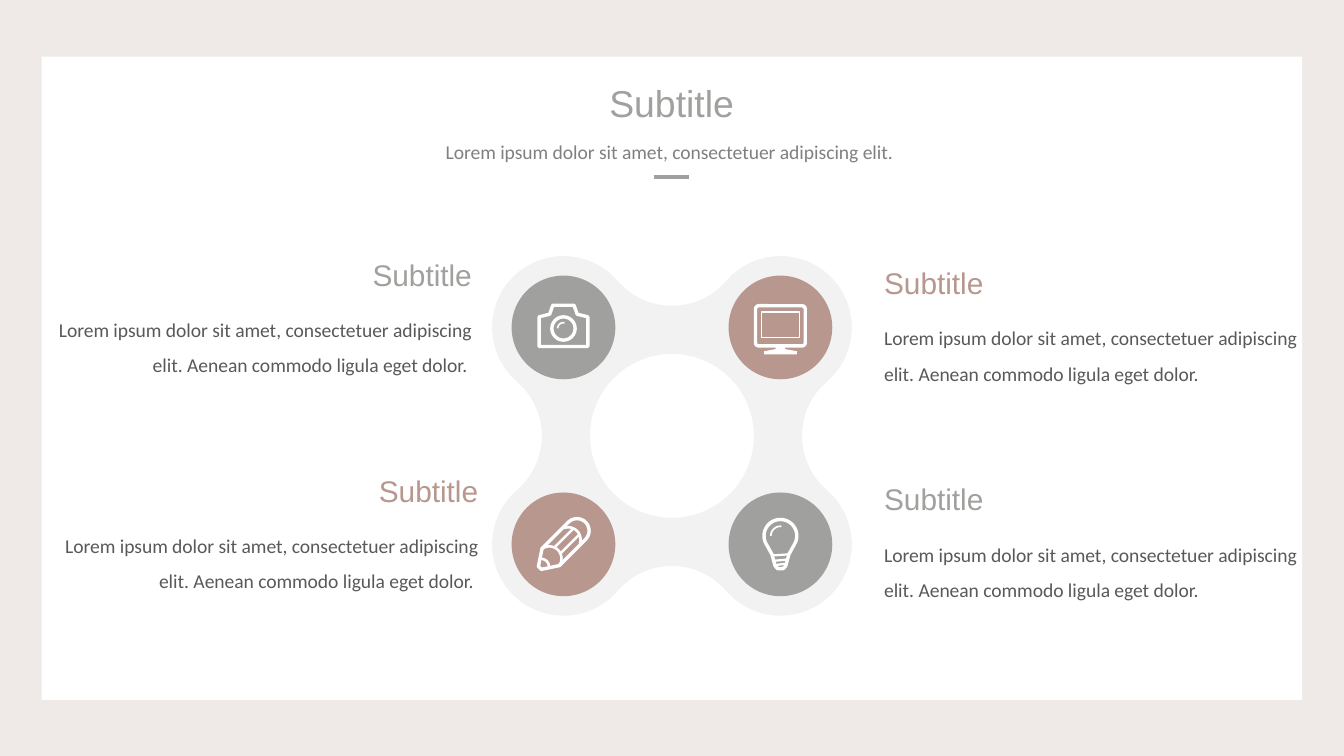
from math import atan2, cos, degrees, hypot, radians, sin, sqrt

from lxml import etree
from pptx import Presentation
from pptx import util as u
from pptx.dml.color import RGBColor
from pptx.enum import shapes, text
from pptx.oxml import ns

CREAM = RGBColor(0xEF, 0xEA, 0xE7)
WHITE = RGBColor(0xFF, 0xFF, 0xFF)
PALE = RGBColor(0xF2, 0xF2, 0xF2)
GREY = RGBColor(0xA0, 0xA0, 0x9E)
ROSE = RGBColor(0xB7, 0x97, 0x8E)
MID = RGBColor(0x80, 0x80, 0x80)
DARK = RGBColor(0x59, 0x59, 0x59)

LEFT, CENTER, RIGHT = text.PP_ALIGN.LEFT, text.PP_ALIGN.CENTER, text.PP_ALIGN.RIGHT
KIND = shapes.MSO_SHAPE
THICK, THIN = 1.8, 0.9
LOREM = "Lorem ipsum dolor sit amet, consectetuer adipiscing elit."
BODY = LOREM + " Aenean commodo ligula eget dolor."


def paint(shape, fill=None, line=None, width=THICK):
    shape.shadow.inherit = False
    if fill is None:
        shape.fill.background()
    else:
        shape.fill.solid()
        shape.fill.fore_color.rgb = fill
    if line is None:
        shape.line.fill.background()
    else:
        shape.line.color.rgb = line
        shape.line.width = u.Pt(width)


def block(slide, kind, x, y, w, h, **style):
    shape = slide.shapes.add_shape(kind, u.Cm(x), u.Cm(y), u.Cm(w), u.Cm(h))
    paint(shape, **style)
    return shape


def ring(slide, x, y, r, **style):
    block(slide, KIND.OVAL, x - r, y - r, 2 * r, 2 * r, **style)


def arc(x, y, r, start, end, steps=24):
    """Points on a circle; angles in degrees, clockwise from the right."""
    turns = [radians(start + (end - start) * i / steps) for i in range(steps + 1)]
    return [(x + r * cos(t), y + r * sin(t)) for t in turns]


def trace(slide, x, y, *loops, close=True, **style):
    """Draw loops of points, in cm from (x, y), as one shape."""
    loops = [[(u.Cm(x + a), u.Cm(y + b)) for a, b in loop] for loop in loops]
    pen = slide.shapes.build_freeform(*loops[0][0])
    for i, loop in enumerate(loops):
        if i:
            pen.move_to(*loop[0])
        pen.add_line_segments(loop[1:], close=close)
    paint(pen.convert_to_shape(), **style)


def write(slide, words, x, y, w, h, size, font, color, align, wrap=True):
    frame = slide.shapes.add_textbox(u.Cm(x), u.Cm(y), u.Cm(w), u.Cm(h)).text_frame
    frame.word_wrap = wrap
    frame.auto_size = text.MSO_AUTO_SIZE.SHAPE_TO_FIT_TEXT
    para = frame.paragraphs[0]
    para.text = words
    para.alignment = align
    if wrap:
        para.line_spacing = 1.5
    para.font.size = u.Pt(size)
    para.font.name = font
    para.font.color.rgb = color


def header(slide, x, y, w):
    mid = x + w / 2
    write(slide, "Subtitle", mid - 1.43, y, 2.86, 1.12, 20, "Arial", GREY, CENTER, False)
    write(slide, LOREM + " ", x, y + 0.89, w, 0.86, 10.5, "Calibri", MID, CENTER)
    level = u.Cm(y + 1.95)
    rule = slide.shapes.add_connector(
        shapes.MSO_CONNECTOR.STRAIGHT, u.Cm(mid - 0.33), level, u.Cm(mid + 0.33), level)
    rule.line.color.rgb = GREY
    rule.line.width = u.Pt(2.25)
    etree.SubElement(rule._element.spPr, ns.qn("a:effectLst"))


def caption(slide, x, y, w, color, align):
    right = align == RIGHT
    side = x + w - 2.39 if right else x
    write(slide, "Subtitle", side, y, 2.39, 0.94, 16, "Arial", color, align, False)
    tail = " " if right else ""
    write(slide, BODY + tail, x, y + 0.94, w, 1.52, 10.5, "Calibri", DARK, align)


def camera(slide, x, y):
    half = [(0.2, -0.42), (0.26, -0.25), (0.46, -0.2), (0.46, 0.36)]
    trace(slide, x, y, [(-a, b) for a, b in reversed(half)] + half, line=WHITE)
    ring(slide, x, y + 0.02, 0.22, line=WHITE)
    trace(slide, x, y, arc(0, 0.02, 0.11, 180, 280), close=False, line=WHITE, width=THIN)


def screen(slide, x, y):
    case = block(slide, KIND.ROUNDED_RECTANGLE, x - 0.47, y - 0.41, 0.94, 0.76, line=WHITE)
    case.adjustments[0] = 0.08
    block(slide, KIND.RECTANGLE, x - 0.36, y - 0.29, 0.72, 0.48, line=WHITE, width=THIN)
    half = [(0.09, 0.36), (0.09, 0.41), (0.31, 0.45), (0.31, 0.51)]
    trace(slide, x, y, half + [(-a, b) for a, b in reversed(half)], fill=WHITE)


def pencil(slide, x, y):
    def tilt(points):
        return [((a + b) / sqrt(2), (b - a) / sqrt(2)) for a, b in points]

    case = [(-0.63, -0.04), (-0.34, -0.23)] + arc(0.36, 0, 0.23, -90, 90)
    trace(slide, x, y, tilt(case + [(-0.34, 0.23), (-0.63, 0.04)]), line=WHITE)
    marks = [
        arc(-0.38, 0, 0.23, -80, 80),
        arc(0.13, 0, 0.23, -65, 65),
        arc(-0.6, 0, 0.15, -60, 60),
        [(-0.17, -0.08), (0.34, -0.08)],
        [(-0.17, 0.08), (0.34, 0.08)],
    ]
    trace(slide, x, y, *map(tilt, marks), close=False, line=WHITE, width=1.4)


def bulb(slide, x, y):
    glass = arc(0, -0.16, 0.31, 150, 390)
    base = [(0.16, 0.19), (0.1, 0.41), (0.05, 0.46), (-0.05, 0.46), (-0.1, 0.41), (-0.16, 0.19)]
    trace(slide, x, y, glass + base, line=WHITE)
    bands = [[(-a, b), (a, b - 0.02)] for a, b in [(0.15, 0.21), (0.12, 0.31), (0.09, 0.39)]]
    trace(slide, x, y, *bands, close=False, line=WHITE, width=1.2)
    trace(slide, x, y, arc(0, -0.16, 0.18, 180, 275), close=False, line=WHITE, width=THIN)


def hub(slide, x, y, gap, icons):
    """Four lobes joined by hollow arcs round a hole; gap is centre to lobe on each axis."""
    lobe, hole, disc = 1.35, 1.55, 0.98
    notch = 3.81
    turn = degrees(atan2(notch - gap, -gap))
    far, bend = hypot(gap, gap), hypot(gap, notch - gap) - lobe
    edge = []
    for q in range(0, 360, 90):
        a, b = radians(q + 45), radians(q + 90)
        edge += arc(far * cos(a), far * sin(a), lobe, q + 90 - turn, q + turn)
        edge += arc(notch * cos(b), notch * sin(b), bend, q + turn - 180, q - turn)
    trace(slide, x, y, edge, arc(0, 0, hole, 360, 0, 72), fill=PALE)
    for i, (icon, color) in enumerate(icons):
        cx, cy = x + gap * (i % 2 * 2 - 1), y + gap * (i // 2 * 2 - 1)
        ring(slide, cx, cy, disc, fill=color)
        icon(slide, cx, cy)


def main():
    deck = Presentation()
    deck.slide_width, deck.slide_height = u.Cm(25.4), u.Cm(14.29)
    slide = deck.slides.add_slide(deck.slide_layouts[6])
    slide.background.fill.solid()
    slide.background.fill.fore_color.rgb = CREAM
    block(slide, KIND.RECTANGLE, 0.79, 1.07, 23.82, 12.16, fill=WHITE)
    header(slide, 7.62, 1.4, 10.15)
    hub(slide, 12.7, 8.24, 2.05,
        [(camera, GREY), (screen, ROSE), (pencil, ROSE), (bulb, GREY)])
    for x, y, color, align in [
        (0.69, 4.72, GREY, RIGHT),
        (16.46, 4.88, ROSE, LEFT),
        (0.81, 8.81, ROSE, RIGHT),
        (16.46, 8.97, GREY, LEFT),
    ]:
        caption(slide, x, y, 8.48, color, align)
    deck.save("out.pptx")


if __name__ == "__main__":
    main()
